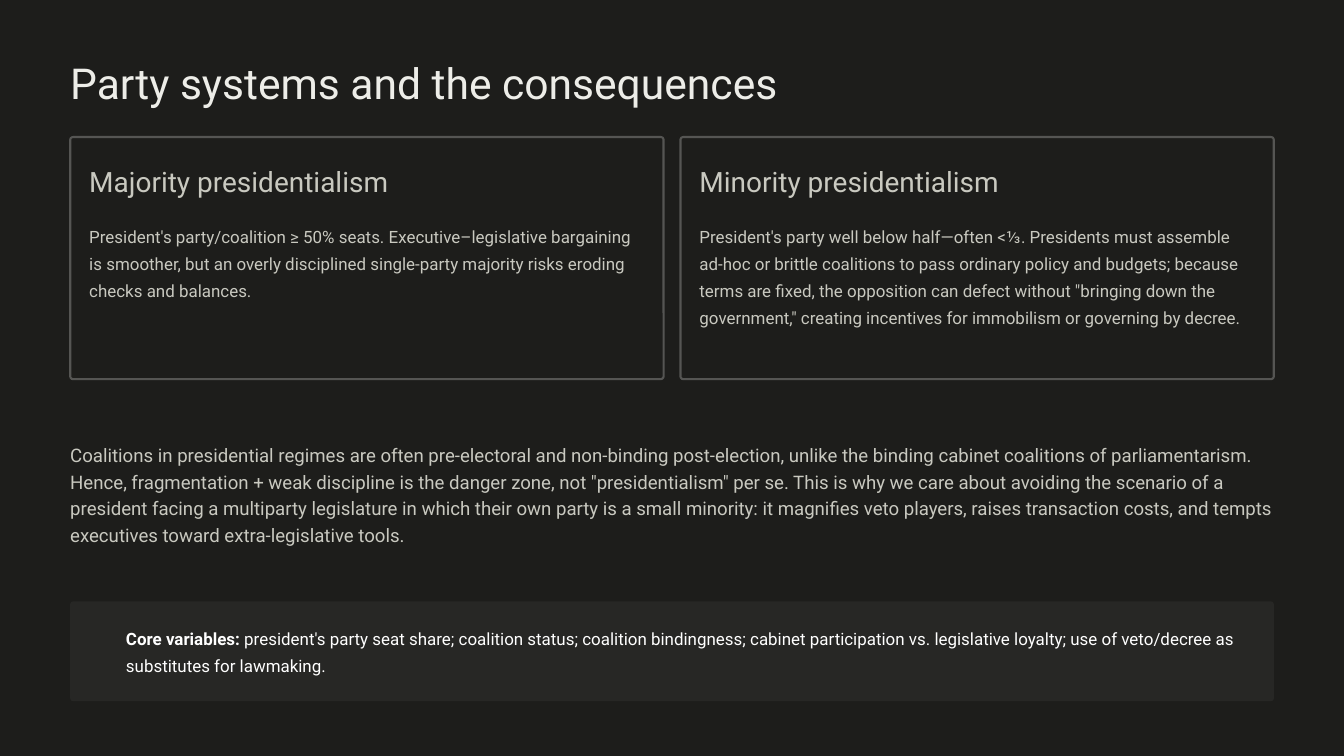
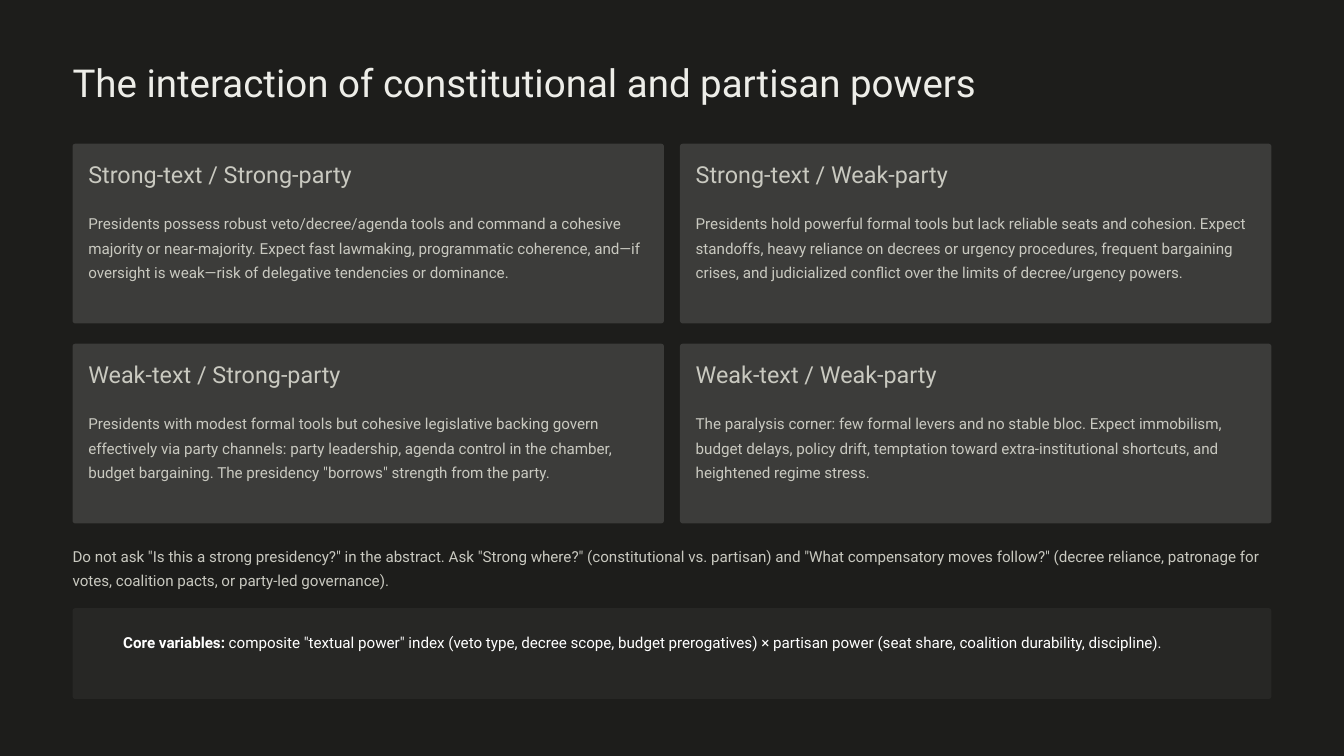
import dataclasses

import pptx
import pptx.dml.color
import pptx.enum.shapes
import pptx.util

Pt = pptx.util.Pt


@dataclasses.dataclass(frozen=True)
class Theme:
    font: str = "Roboto"
    background: str = "1D1D1B"
    title: str = "EDEDE8"
    text: str = "C9C9C0"
    strong: str = "FFFFFF"
    outline: str = "555553"
    panel: str = "3C3C3A"
    band: str = "272725"
    outline_width: float = 1.8
    radius: float = 2.3


@dataclasses.dataclass(frozen=True)
class Scale:
    title: tuple
    heading: tuple
    body: tuple
    note: tuple


@dataclasses.dataclass(frozen=True)
class Layout:
    scale: Scale
    margin: float
    title_top: float
    cards_top: float
    card_height: float
    column_gap: float
    row_gap: float
    card_inset: float
    heading_drop: float
    body_drop: float
    note_top: float
    band_top: float
    band_height: float
    core_indent: float
    core_drop: float
    outlined: bool


THEME = Theme()
SLIDE_WIDTH, SLIDE_HEIGHT = 1152, 648
COLUMNS = 2
CORE_LABEL = "Core variables:"
CORE_RIGHT_INSET = 14

SLIDES = [
    {
        "title": "Party systems and the consequences",
        "cards": [
            ("Majority presidentialism",
             "President's party/coalition ≥ 50% seats. Executive–legislative bargaining is smoother, "
             "but an overly disciplined single-party majority risks eroding checks and balances."),
            ("Minority presidentialism",
             "President's party well below half—often <⅓. Presidents must assemble ad-hoc or brittle "
             "coalitions to pass ordinary policy and budgets; because terms are fixed, the opposition "
             "can defect without \"bringing down the government,\" creating incentives for immobilism "
             "or governing by decree."),
        ],
        "note": "Coalitions in presidential regimes are often pre-electoral and non-binding post-election, "
                "unlike the binding cabinet coalitions of parliamentarism. Hence, fragmentation + weak "
                "discipline is the danger zone, not \"presidentialism\" per se. This is why we care about "
                "avoiding the scenario of a president facing a multiparty legislature in which their own "
                "party is a small minority: it magnifies veto players, raises transaction costs, and "
                "tempts executives toward extra-legislative tools.",
        "core": " president's party seat share; coalition status; coalition bindingness; cabinet "
                "participation vs. legislative loyalty; use of veto/decree as substitutes for lawmaking.",
        "layout": Layout(
            scale=Scale(title=(36.5, 45.5), heading=(24, 22.5), body=(14.5, 23), note=(16, 23)),
            margin=60.2, title_top=47.5, cards_top=117.5, card_height=207.5,
            column_gap=14.5, row_gap=14.5, card_inset=16.3, heading_drop=29.5, body_drop=71.2,
            note_top=376.5, band_top=515.5, band_height=85.5, core_indent=47.8, core_drop=18,
            outlined=True),
    },
    {
        "title": "The interaction of constitutional and partisan powers",
        "cards": [
            ("Strong-text / Strong-party",
             "Presidents possess robust veto/decree/agenda tools and command a cohesive majority or "
             "near-majority. Expect fast lawmaking, programmatic coherence, and—if oversight is "
             "weak—risk of delegative tendencies or dominance."),
            ("Strong-text / Weak-party",
             "Presidents hold powerful formal tools but lack reliable seats and cohesion. Expect "
             "standoffs, heavy reliance on decrees or urgency procedures, frequent bargaining crises, "
             "and judicialized conflict over the limits of decree/urgency powers."),
            ("Weak-text / Strong-party",
             "Presidents with modest formal tools but cohesive legislative backing govern effectively "
             "via party channels: party leadership, agenda control in the chamber, budget bargaining. "
             "The presidency \"borrows\" strength from the party."),
            ("Weak-text / Weak-party",
             "The paralysis corner: few formal levers and no stable bloc. Expect immobilism, budget "
             "delays, policy drift, temptation toward extra-institutional shortcuts, and heightened "
             "regime stress."),
        ],
        "note": "Do not ask \"Is this a strong presidency?\" in the abstract. Ask \"Strong where?\" "
                "(constitutional vs. partisan) and \"What compensatory moves follow?\" (decree reliance, "
                "patronage for votes, coalition pacts, or party-led governance).",
        "core": " composite \"textual power\" index (veto type, decree scope, budget prerogatives) × "
                "partisan power (seat share, coalition durability, discipline).",
        "layout": Layout(
            scale=Scale(title=(33, 41.5), heading=(20, 20.5), body=(13, 21), note=(13, 21)),
            margin=62.2, title_top=49, cards_top=123.2, card_height=154,
            column_gap=13.7, row_gap=17.4, card_inset=13.5, heading_drop=17.2, body_drop=55.4,
            note_top=463.7, band_top=521.3, band_height=77.8, core_indent=43.4, core_drop=16.5,
            outlined=False),
    },
]


def rgb(value):
    return pptx.dml.color.RGBColor.from_string(value)


def add_panel(slide, left, top, width, height, fill, outlined=False):
    panel = slide.shapes.add_shape(
        pptx.enum.shapes.MSO_SHAPE.ROUNDED_RECTANGLE, Pt(left), Pt(top), Pt(width), Pt(height))
    panel.adjustments[0] = THEME.radius / min(width, height)
    panel.shadow.inherit = False
    panel.fill.solid()
    panel.fill.fore_color.rgb = rgb(fill)
    if outlined:
        panel.line.color.rgb = rgb(THEME.outline)
        panel.line.width = Pt(THEME.outline_width)
    else:
        panel.line.fill.background()


def add_text(slide, left, top, width, height, text, style, color, label=""):
    size, spacing = style
    frame = slide.shapes.add_textbox(Pt(left), Pt(top), Pt(width), Pt(height)).text_frame
    frame.word_wrap = True
    frame.margin_left = frame.margin_top = frame.margin_right = frame.margin_bottom = 0
    paragraph = frame.paragraphs[0]
    paragraph.line_spacing = Pt(spacing)
    for words, bold in ((label, True), (text, False)):
        if words:
            run = paragraph.add_run()
            run.text = words
            run.font.name = THEME.font
            run.font.size = Pt(size)
            run.font.bold = bold
            run.font.color.rgb = rgb(color)


def add_cards(slide, cards, layout):
    width = (SLIDE_WIDTH - 2 * layout.margin - (COLUMNS - 1) * layout.column_gap) / COLUMNS
    text_width = width - 2 * layout.card_inset
    fill = THEME.background if layout.outlined else THEME.panel
    for index, (heading, body) in enumerate(cards):
        row, column = divmod(index, COLUMNS)
        left = layout.margin + column * (width + layout.column_gap)
        top = layout.cards_top + row * (layout.card_height + layout.row_gap)
        text_left = left + layout.card_inset
        add_panel(slide, left, top, width, layout.card_height, fill, layout.outlined)
        add_text(slide, text_left, top + layout.heading_drop, text_width,
                 layout.scale.heading[1], heading, layout.scale.heading, THEME.text)
        add_text(slide, text_left, top + layout.body_drop, text_width,
                 layout.card_height - layout.body_drop - layout.card_inset,
                 body, layout.scale.body, THEME.text)


def add_core_band(slide, core, layout, width):
    add_panel(slide, layout.margin, layout.band_top, width, layout.band_height, THEME.band)
    add_text(slide, layout.margin + layout.core_indent, layout.band_top + layout.core_drop,
             width - layout.core_indent - CORE_RIGHT_INSET, 2 * layout.scale.body[1],
             core, layout.scale.body, THEME.strong, CORE_LABEL)


def build_slide(deck, content):
    slide = deck.slides.add_slide(deck.slide_layouts[6])
    layout = content["layout"]
    scale = layout.scale
    width = SLIDE_WIDTH - 2 * layout.margin
    add_text(slide, layout.margin, layout.title_top, width, scale.title[1],
             content["title"], scale.title, THEME.title)
    add_cards(slide, content["cards"], layout)
    add_text(slide, layout.margin, layout.note_top, width, 2 * scale.note[1],
             content["note"], scale.note, THEME.text)
    add_core_band(slide, content["core"], layout, width)


def main():
    deck = pptx.Presentation()
    deck.slide_width, deck.slide_height = Pt(SLIDE_WIDTH), Pt(SLIDE_HEIGHT)
    backdrop = deck.slide_master.background.fill
    backdrop.solid()
    backdrop.fore_color.rgb = rgb(THEME.background)
    for content in SLIDES:
        build_slide(deck, content)
    deck.save("out.pptx")


if __name__ == "__main__":
    main()
